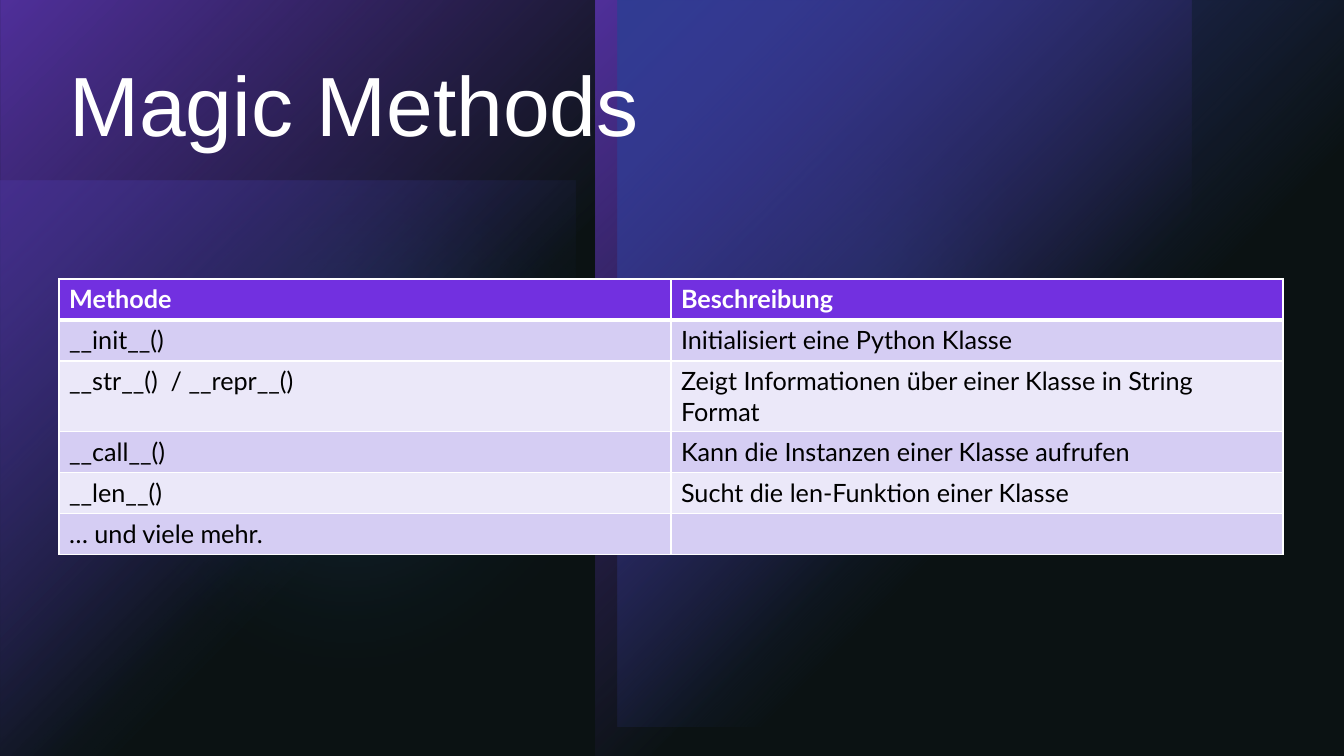
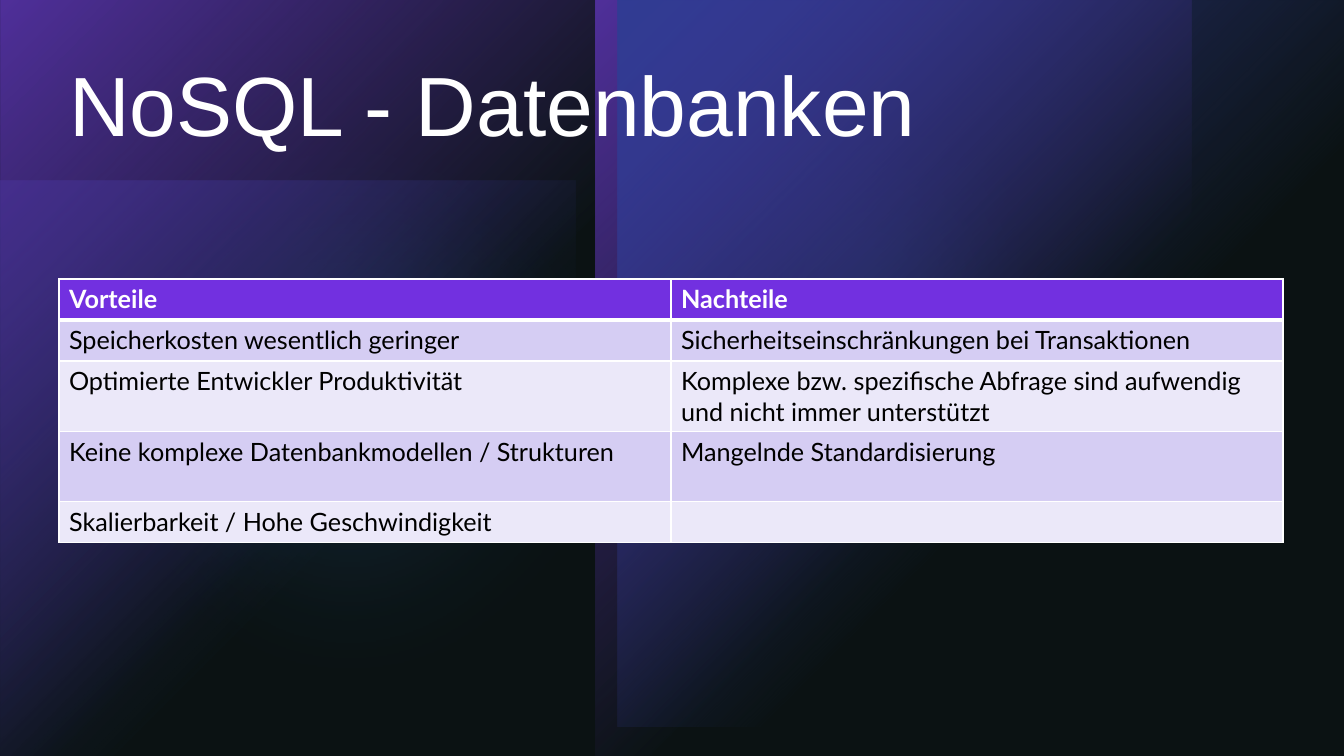
from dataclasses import dataclass

import lxml.etree
import pptx
import pptx.dml.color
import pptx.enum.shapes
import pptx.enum.text
import pptx.oxml
import pptx.oxml.ns
import pptx.util

RGB = pptx.dml.color.RGBColor
SHAPE = pptx.enum.shapes.MSO_SHAPE
qn = pptx.oxml.ns.qn
A_NS = 'xmlns:a="http://schemas.openxmlformats.org/drawingml/2006/main"'

# Colours
BLACK = RGB(0x00, 0x00, 0x00)
WHITE = RGB(0xFF, 0xFF, 0xFF)
PURPLE = RGB(0x72, 0x30, 0xE0)
INDIGO = RGB(0x3F, 0x45, 0xD5)
BLUE = RGB(0x30, 0x81, 0xE0)
SLATE = RGB(0x1C, 0x2F, 0x31)
BAND_DARK = RGB(0xD5, 0xCD, 0xF3)
BAND_LIGHT = RGB(0xEB, 0xE8, 0xF9)

# Geometry in px
SLIDE_W, SLIDE_H = 1344, 756
EMU_PER_PX = 12192000 / SLIDE_W
MARGIN, CONTENT_W = 59, 1224
TITLE_TOP, TITLE_H = 59, 200
TABLE_TOP = 279
ROW_H, TALL_ROW_H = 41, 70
SOFT_EDGE = 140

# Text formats
TITLE_FONT = {"name": "Arial", "size": pptx.util.Pt(60), "bold": False}
CELL_FONT = {"name": "Lato", "size": pptx.util.Pt(18)}


@dataclass(frozen=True)
class Panel:
    """One translucent shape of the shared backdrop."""
    left: int
    top: int
    width: int
    height: int
    color: RGB
    alpha: int = 100
    shape: SHAPE = SHAPE.RECTANGLE
    gradient: bool = False
    soft: bool = False
    flip: str = ""
    rotation: int = 0


@dataclass(frozen=True)
class TableSlide:
    title: str
    rows: list[tuple[str, str]]
    tall_rows: tuple[int, ...]


BACKDROP = [
    Panel(0, 181, 576, 576, INDIGO, 60, gradient=True, flip="V"),
    Panel(634, 43, 476, 476, BLUE, 60, SHAPE.OVAL, soft=True, flip="V"),
    Panel(0, 56, 700, 700, BLUE, 20, SHAPE.OVAL, soft=True, flip="V"),
    Panel(0, 0, 596, 756, PURPLE, gradient=True, flip="V", rotation=180),
    Panel(596, 0, 596, 756, PURPLE, gradient=True, flip="HV", rotation=180),
    Panel(618, 0, 727, 727, INDIGO, gradient=True, flip="V", rotation=180),
    Panel(0, 0, SLIDE_W, SLIDE_H, SLATE, 40),
]

SLIDES = [
    TableSlide("Magic Methods", [
        ("Methode", "Beschreibung"),
        ("__init__()", "Initialisiert eine Python Klasse"),
        ("__str__()  / __repr__()", "Zeigt Informationen über einer Klasse in String Format"),
        ("__call__()", "Kann die Instanzen einer Klasse aufrufen"),
        ("__len__()", "Sucht die len-Funktion einer Klasse"),
        ("… und viele mehr.", ""),
    ], tall_rows=(2,)),
    TableSlide("NoSQL - Datenbanken", [
        ("Vorteile", "Nachteile"),
        ("Speicherkosten wesentlich geringer", "Sicherheitseinschränkungen bei Transaktionen"),
        ("Optimierte Entwickler Produktivität",
         "Komplexe bzw. spezifische Abfrage sind aufwendig und nicht immer unterstützt"),
        ("Keine komplexe Datenbankmodellen / Strukturen", "Mangelnde Standardisierung"),
        ("Skalierbarkeit / Hohe Geschwindigkeit", ""),
    ], tall_rows=(2, 3)),
]


def px(n: int) -> pptx.util.Emu:
    return pptx.util.Emu(round(n * EMU_PER_PX))


def set_text(p, text: str, color: RGB, font: dict) -> None:
    r = p.add_run()
    r.text = text
    for name, value in font.items():
        setattr(r.font, name, value)
    r.font.color.rgb = color


def fill_gradient(sp, panel: Panel) -> None:
    """Fade the colour out from one corner."""
    stops = "".join(
        f'<a:gs pos="{pos}"><a:srgbClr val="{panel.color}">'
        f'<a:alpha val="{alpha * 1000}"/></a:srgbClr></a:gs>'
        for pos, alpha in ((0, panel.alpha), (60000, 0)))
    grad = pptx.oxml.parse_xml(
        f'<a:gradFill {A_NS} rotWithShape="1"><a:gsLst>{stops}</a:gsLst>'
        '<a:path path="circle"><a:fillToRect r="100000" b="100000"/></a:path></a:gradFill>')
    sp.element.spPr.find(qn("a:prstGeom")).addnext(grad)


def fill_solid(sp, panel: Panel) -> None:
    sp.fill.solid()
    sp.fill.fore_color.rgb = panel.color
    clr = sp.element.spPr.find(".//" + qn("a:srgbClr"))
    lxml.etree.SubElement(clr, qn("a:alpha"), val=str(panel.alpha * 1000))


def draw_panel(s, panel: Panel):
    sp = s.shapes.add_shape(panel.shape, px(panel.left), px(panel.top),
                            px(panel.width), px(panel.height))
    sp.shadow.inherit = False
    sp.line.fill.background()
    sp.rotation = panel.rotation
    for axis in panel.flip:
        sp.element.spPr.find(qn("a:xfrm")).set("flip" + axis, "1")
    if panel.gradient:
        fill_gradient(sp, panel)
    else:
        fill_solid(sp, panel)
    if panel.soft:
        effects = sp.element.spPr.find(qn("a:effectLst"))
        lxml.etree.SubElement(effects, qn("a:softEdge"), rad=str(px(SOFT_EDGE)))
    return sp


def move_backdrop_to_layout(s, layout) -> None:
    """Layouts cannot add shapes, so draw on a slide and move them behind the layout."""
    for i, panel in enumerate(BACKDROP):
        element = draw_panel(s, panel).element
        element.nvSpPr.cNvPr.set("id", str(100 + i))
        layout.shapes.element.insert(2 + i, element)


def set_title(s, text: str) -> None:
    title = s.shapes.title
    title.left, title.top = px(MARGIN), px(TITLE_TOP)
    title.width, title.height = px(CONTENT_W), px(TITLE_H)
    tf = title.text_frame
    tf.word_wrap = True
    tf.auto_size = pptx.enum.text.MSO_AUTO_SIZE.NONE
    tf.vertical_anchor = pptx.enum.text.MSO_ANCHOR.TOP
    p = tf.paragraphs[0]
    p.alignment = pptx.enum.text.PP_ALIGN.LEFT
    p.line_spacing = 0.9
    set_text(p, text, WHITE, TITLE_FONT)


def set_borders(cell, widths: dict[str, int]) -> None:
    tc_pr = cell._tc.get_or_add_tcPr()
    for i, (side, width) in enumerate(widths.items()):
        tc_pr.insert(i, pptx.oxml.parse_xml(
            f'<a:ln{side} {A_NS} w="{pptx.util.Pt(width)}"><a:solidFill>'
            f'<a:srgbClr val="{WHITE}"/></a:solidFill></a:ln{side}>'))


def add_table(s, content: TableSlide) -> None:
    heights = [TALL_ROW_H if i in content.tall_rows else ROW_H
               for i in range(len(content.rows))]
    table = s.shapes.add_table(len(content.rows), 2, px(MARGIN), px(TABLE_TOP),
                               px(CONTENT_W), px(sum(heights))).table
    for col in table.columns:
        col.width = px(CONTENT_W // 2)
    for i, row in enumerate(content.rows):
        table.rows[i].height = px(heights[i])
        header = i == 0
        fill = PURPLE if header else (BAND_LIGHT, BAND_DARK)[i % 2]
        for j, text in enumerate(row):
            cell = table.cell(i, j)
            cell.fill.solid()
            cell.fill.fore_color.rgb = fill
            set_borders(cell, {"L": 1, "R": 1, "T": 3 if i == 1 else 1, "B": 3 if header else 1})
            if text:
                set_text(cell.text_frame.paragraphs[0], text, WHITE if header else BLACK,
                         {**CELL_FONT, "bold": header})


def main() -> None:
    prs = pptx.Presentation()
    prs.slide_width, prs.slide_height = px(SLIDE_W), px(SLIDE_H)
    layout = prs.slide_layouts.get_by_name("Title Only")

    # Shared background
    background = prs.slide_master.background.fill
    background.solid()
    background.fore_color.rgb = BLACK

    # Slides
    for i, content in enumerate(SLIDES):
        s = prs.slides.add_slide(layout)
        if i == 0:
            move_backdrop_to_layout(s, layout)
        set_title(s, content.title)
        add_table(s, content)
    prs.save("out.pptx")


if __name__ == "__main__":
    main()
